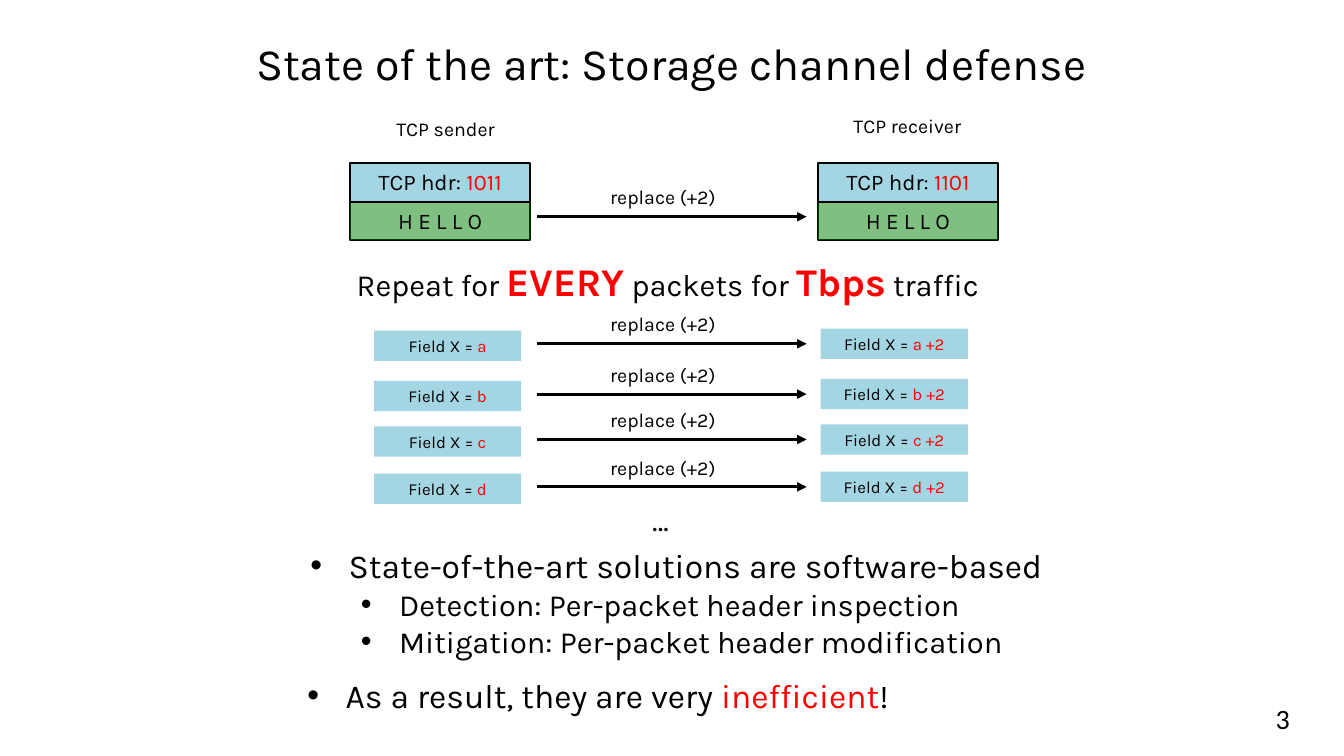
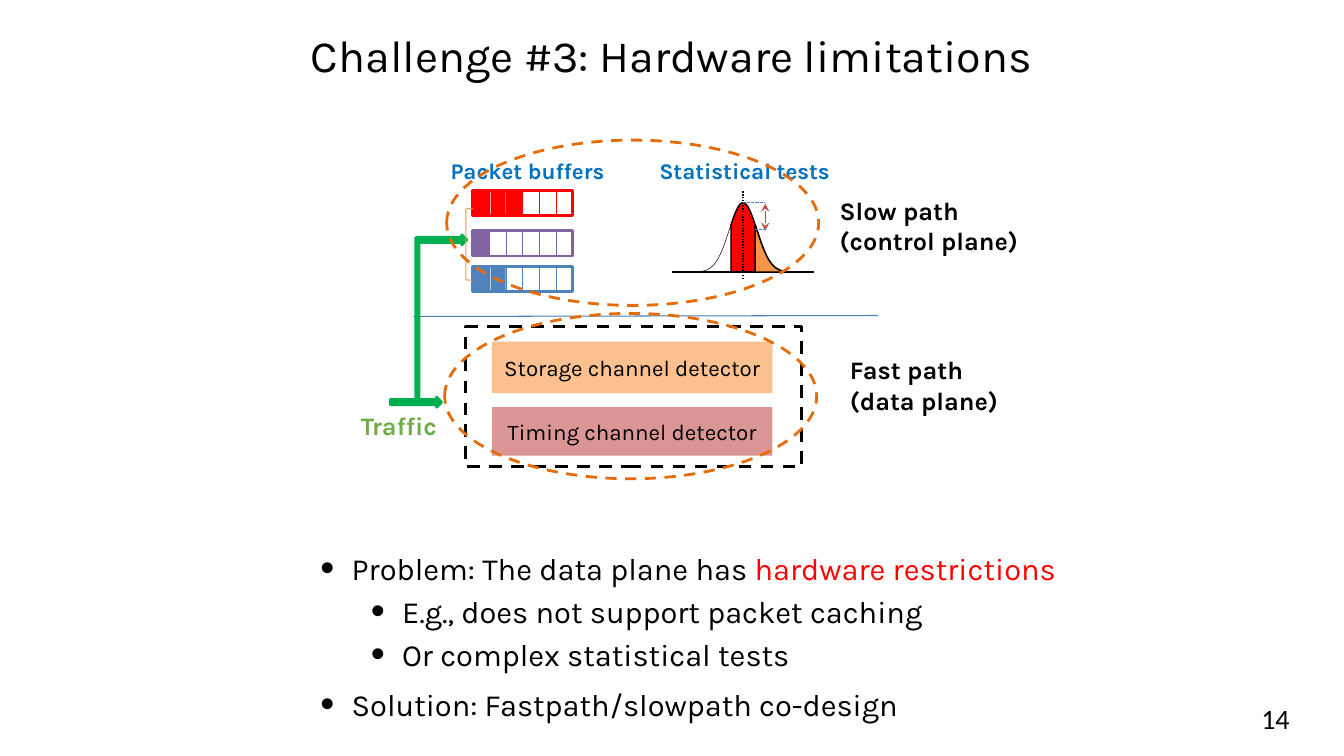
import math

from lxml import etree
from pptx import Presentation
from pptx.dml.color import RGBColor
from pptx.enum import dml, shapes, text
from pptx.oxml import ns
from pptx.util import Inches, Pt

BLACK = RGBColor(0x00, 0x00, 0x00)
RED = RGBColor(0xFF, 0x00, 0x00)
TEAL = RGBColor(0x4B, 0xAC, 0xC6)
DARK_GREEN = RGBColor(0x00, 0x80, 0x00)
TRAFFIC_GREEN = RGBColor(0x00, 0xB0, 0x50)
SOFT_GREEN = RGBColor(0x70, 0xAD, 0x47)
HEADING_BLUE = RGBColor(0x00, 0x70, 0xC0)
RULE_BLUE = RGBColor(0x4B, 0x7E, 0xBC)
BLUE = RGBColor(0x4F, 0x81, 0xBD)
PURPLE = RGBColor(0x80, 0x64, 0xA2)
ORANGE = RGBColor(0xF7, 0x96, 0x46)
DARK_ORANGE = RGBColor(0xE4, 0x6C, 0x0A)
PEACH = RGBColor(0xFA, 0xC0, 0x90)
ROSE = RGBColor(0xD9, 0x96, 0x94)
BRICK = RGBColor(0xC0, 0x50, 0x4D)

FONT = "Karla"
NUMBER_FONT = "Calibri"
LEFT, CENTER, RIGHT = text.PP_ALIGN.LEFT, text.PP_ALIGN.CENTER, text.PP_ALIGN.RIGHT
TOP, MIDDLE = text.MSO_ANCHOR.TOP, text.MSO_ANCHOR.MIDDLE
DASH = dml.MSO_LINE.DASH
FINE_DASH = dml.MSO_LINE.SQUARE_DOT
DOTS = dml.MSO_LINE.ROUND_DOT
SHAPE = shapes.MSO_SHAPE


def sub(parent, tag, **attrs):
    return etree.SubElement(parent, ns.qn(tag), attrs)


def add_bullet(p, level, indent, percent):
    p.level = level
    pPr = p._p.get_or_add_pPr()
    pPr.set("marL", str(Inches(indent + 0.5 * level)))
    pPr.set("indent", str(-Inches(indent)))
    sub(pPr, "a:buSzPct", val=str(percent * 1000))
    sub(pPr, "a:buFont", typeface="Arial")
    sub(pPr, "a:buChar", char="•")


def write(tf, paragraphs, size=16, font=FONT, color=BLACK, bold=False,
          align=LEFT, anchor=TOP, indent=None, percent=100, levels=None, gap=0):
    tf.word_wrap = True
    tf.vertical_anchor = anchor
    if isinstance(paragraphs, str):
        paragraphs = [[paragraphs]]
    for i, runs in enumerate(paragraphs):
        p = tf.paragraphs[0] if i == 0 else tf.add_paragraph()
        p.alignment = align
        if indent:
            add_bullet(p, levels[i] if levels else 0, indent, percent)
        if gap and i:
            p.space_before = Pt(gap)
        for run in runs:
            words, own = (run, {}) if isinstance(run, str) else run
            r = p.add_run()
            r.text = words
            r.font.name = font
            r.font.size = Pt(own.get("size", size))
            r.font.bold = own.get("bold", bold)
            r.font.color.rgb = own.get("color", color)


def add_text(s, x, y, w, h, paragraphs, **fmt):
    sp = s.shapes.add_textbox(Inches(x), Inches(y), Inches(w), Inches(h))
    write(sp.text_frame, paragraphs, **fmt)


def paint(sp, fill=None, line=None, width=1, dash=None, alpha=None):
    sp.shadow.inherit = False
    if fill is None:
        sp.fill.background()
    else:
        sp.fill.solid()
        sp.fill.fore_color.rgb = fill
        if alpha:
            color = sp._element.spPr.find(ns.qn("a:solidFill"))[0]
            sub(color, "a:alpha", val=str(alpha * 1000))
    if line is None:
        sp.line.fill.background()
    else:
        sp.line.color.rgb = line
        sp.line.width = Pt(width)
        if dash:
            sp.line.dash_style = dash
    return sp


def add_shape(s, x, y, w, h, kind=SHAPE.RECTANGLE, **look):
    sp = s.shapes.add_shape(kind, Inches(x), Inches(y), Inches(w), Inches(h))
    return paint(sp, **look)


def add_line(s, x1, y1, x2, y2, color=BLACK, width=1, dash=None, head=None, tail=None):
    line = s.shapes.add_connector(shapes.MSO_CONNECTOR.STRAIGHT,
                                  Inches(x1), Inches(y1), Inches(x2), Inches(y2))
    line.line.color.rgb = color
    line.line.width = Pt(width)
    if dash:
        line.line.dash_style = dash
    ln = line.line._get_or_add_ln()
    if head:
        sub(ln, "a:headEnd", type=head)
    if tail:
        sub(ln, "a:tailEnd", type=tail)
    sub(line._element.spPr, "a:effectLst")
    return line


def add_outline(s, points, close, **look):
    points = [(Inches(x), Inches(y)) for x, y in points]
    builder = s.shapes.build_freeform(*points[0], scale=1.0)
    builder.add_line_segments(points[1:], close=close)
    return paint(builder.convert_to_shape(), **look)


def add_frame(prs, title, title_top, number):
    s = prs.slides.add_slide(prs.slide_layouts[6])
    add_text(s, 1.5, title_top, 10.33, 1.08, title, size=32, align=CENTER, anchor=MIDDLE)
    add_text(s, 9.78, 6.93, 3.11, 0.4, number, size=20, font=NUMBER_FONT,
             align=RIGHT, anchor=MIDDLE)
    return s


def add_replace_arrow(s, x, y):
    add_line(s, x, y, x + 2.67, y, width=2.25, tail="triangle")
    add_text(s, x + 0.34, y - 0.36, 1.81, 0.34, "replace (+2)", size=14, align=CENTER)


def add_packet(s, x, y, label, label_dx, label_dy, bits):
    w, h = 1.79, 0.38
    add_text(s, x + label_dx, y + label_dy, 1.54, 0.34, label, size=14, align=CENTER)
    header = add_shape(s, x, y, w, h, fill=TEAL, alpha=50)
    write(header.text_frame, [["TCP hdr: ", (bits, {"color": RED})]], align=CENTER)
    border = add_shape(s, x, y, w, 2 * h, line=BLACK, width=1.5)
    payload = add_shape(s, x, y + h, w, h, fill=DARK_GREEN, alpha=50)
    write(payload.text_frame, "H E L L O", align=CENTER, anchor=MIDDLE)
    divider = add_line(s, x, y + h, x + w, y + h, width=1.5)
    divider.begin_connect(border, 1)
    divider.end_connect(border, 3)


def add_field_row(s, x, y, name):
    for dx, dy, value in ((0, 0, name), (4.43, -0.02, name + " +2")):
        field = add_shape(s, x + dx, y + dy, 1.46, 0.3, fill=TEAL, alpha=50)
        write(field.text_frame, [["Field X = ", (value, {"color": RED})]],
              size=12, align=CENTER)
    add_replace_arrow(s, x + 1.62, y + 0.13)


def add_buffer(s, x, y, color, filled):
    w, h, cells = 0.99, 0.25, 6
    step = w / cells
    add_shape(s, x, y, w, h, line=color, width=2)
    for i in range(1, cells):
        add_line(s, x + i * step, y, x + i * step, y + h, color, 0.75)
    for i in range(filled):
        add_shape(s, x + i * step + 0.01, y, 0.15, h, fill=color)


def add_bell(s, x, y):
    w, h, sigma = 1.4, 0.69, 0.137
    mid, base = x + w / 2, y + h

    def curve(start, end, steps):
        xs = [start + (end - start) * i / steps for i in range(steps + 1)]
        return [(cx, base - h * math.exp(-((cx - mid) / sigma) ** 2 / 2)) for cx in xs]

    def area(start, end, color):
        points = [(start, base)] + curve(start, end, 30) + [(end, base)]
        add_outline(s, points, True, fill=color, line=BLACK)

    area(mid - 0.12, mid + 0.43, RED)
    add_outline(s, curve(x, x + w, 100), False, line=BLACK, width=0.38)
    add_line(s, x, base, x + w, base)
    add_line(s, mid, y - 0.11, mid, base + 0.06, dash=DOTS)
    area(mid + 0.12, mid + 0.42, ORANGE)
    add_line(s, mid + 0.22, y + 0.01, mid + 0.22, y + 0.28, BRICK, 0.75,
             head="stealth", tail="stealth")
    add_line(s, mid, y, mid + 0.22, y, BLUE, 0.75, FINE_DASH)
    add_line(s, mid + 0.12, y + 0.27, mid + 0.23, y + 0.27, BLUE, 0.75, FINE_DASH)


def add_traffic(s, x, y):
    look = dict(kind=SHAPE.RIGHT_ARROW, fill=TRAFFIC_GREEN, line=TRAFFIC_GREEN, width=2)
    add_shape(s, x, y + 1.61, 0.51, 0.1, **look)
    add_shape(s, x + 0.26, y, 0.5, 0.1, **look)
    add_shape(s, x + 0.24, y + 0.02, 0.06, 1.61, fill=TRAFFIC_GREEN)
    add_text(s, x - 0.39, y + 1.69, 1.02, 0.4, "Traffic", size=18, color=SOFT_GREEN, bold=True)


def add_slow_path(s, x, y):
    heading = dict(size=16, color=HEADING_BLUE, bold=True)
    add_text(s, x - 0.06, y + 0.12, 1.84, 0.37, "Packet buffers", **heading)
    add_text(s, x + 2.01, y + 0.12, 1.95, 0.37, "Statistical tests", **heading)
    for dy, color, filled in ((0.5, RED, 3), (0.9, PURPLE, 1), (1.25, BLUE, 2)):
        add_buffer(s, x + 0.26, y + dy, color, filled)
    add_shape(s, x + 0.19, y + 0.68, 0.07, 0.71, SHAPE.LEFT_BRACKET, line=ORANGE, width=0.75)
    add_bell(s, x + 2.24, y + 0.62)
    add_text(s, x + 3.8, y + 0.5, 2.1, 0.71, [["Slow path"], ["(control plane)"]],
             size=18, bold=True)


def add_fast_path(s, x, y):
    add_shape(s, x + 0.21, y + 0.13, 3.33, 1.39, line=BLACK, width=2.25, dash=DASH)
    for dy, h, color, name in ((0.28, 0.51, PEACH, "Storage channel detector"),
                               (0.93, 0.48, ROSE, "Timing channel detector")):
        detector = add_shape(s, x + 0.47, y + dy, 2.78, h, fill=color)
        write(detector.text_frame, name, align=CENTER, anchor=MIDDLE)
    add_text(s, x + 3.92, y + 0.36, 1.77, 0.71, [["Fast path"], ["(data plane)"]],
             size=18, bold=True)


def build_storage_defense(prs):
    s = add_frame(prs, "State of the art: Storage channel defense", 0.08, "3")
    add_packet(s, 3.47, 1.62, "TCP sender", 0.18, -0.51, "1011")
    add_packet(s, 8.11, 1.62, "TCP receiver", 0.12, -0.54, "1101")
    add_replace_arrow(s, 5.33, 2.15)
    strong = dict(size=28, color=RED, bold=True)
    add_text(s, 3.44, 2.5, 6.46, 0.57,
             [["Repeat for ", ("EVERY", strong), " packets for ", ("Tbps", strong), " traffic"]],
             size=22)
    for name, y in zip("abcd", (3.28, 3.78, 4.23, 4.7)):
        add_field_row(s, 3.71, y, name)
    add_text(s, 6.37, 4.92, 0.58, 0.57, "…", size=22)
    small = dict(size=22)
    add_text(s, 2.98, 5.36, 8.02, 1.27,
             [["State-of-the-art solutions are software-based"],
              [("Detection: Per-packet header inspection", small)],
              [("Mitigation: Per-packet header modification", small)]],
             size=24, indent=0.38, levels=(0, 1, 1))
    add_text(s, 2.95, 6.65, 7.44, 0.46,
             [["As a result, they are very ", ("inefficient", {"color": RED}), "!"]],
             size=24, indent=0.38)


def build_hardware_limits(prs):
    s = add_frame(prs, "Challenge #3: Hardware limitations", 0, "14")
    bullets = dict(size=22, indent=0.31, percent=130, gap=4.5)
    add_text(s, 3.08, 5.4, 9.08, 0.93,
             [["Problem: The data plane has ", ("hardware restrictions", {"color": RED})],
              ["E.g., does not support packet caching"],
              ["Or complex statistical tests"]],
             levels=(0, 1, 1), **bullets)
    add_text(s, 3.08, 6.75, 7.13, 0.47, [["Solution: Fastpath/slowpath co-design"]], **bullets)
    add_line(s, 4.1, 3.14, 8.71, 3.13, RULE_BLUE, 0.75)
    add_traffic(s, 3.87, 2.33)
    add_slow_path(s, 4.43, 1.39)
    add_fast_path(s, 4.41, 3.11)
    for x, y in ((4.41, 3.11), (4.43, 1.39)):
        add_shape(s, x, y, 3.69, 1.64, SHAPE.OVAL, line=DARK_ORANGE, width=2, dash=DASH)


def main():
    prs = Presentation()
    prs.slide_width, prs.slide_height = Inches(13.33), Inches(7.5)
    build_storage_defense(prs)
    build_hardware_limits(prs)
    prs.save("out.pptx")


if __name__ == "__main__":
    main()
